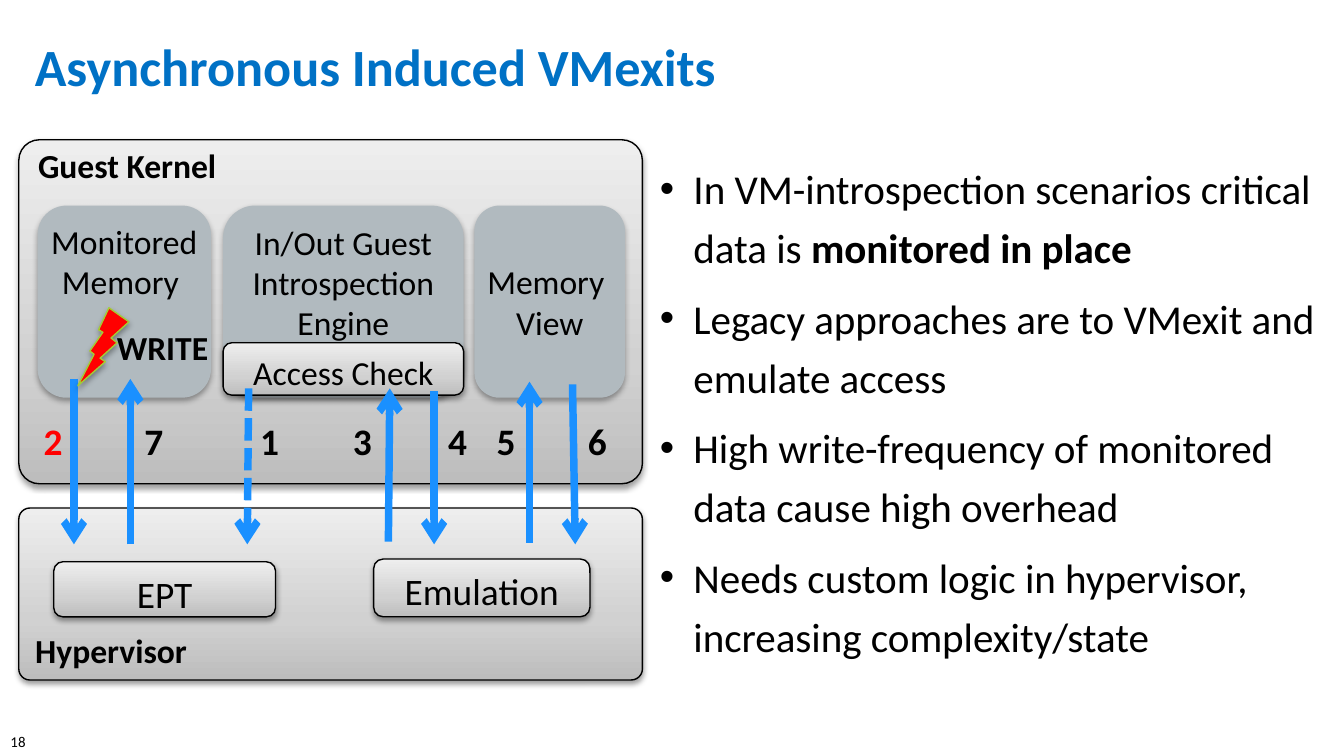
from copy import deepcopy
from typing import NamedTuple

from lxml import etree
from pptx import Presentation
from pptx.dml.color import RGBColor
from pptx.enum.dml import MSO_LINE
from pptx.enum.shapes import MSO_CONNECTOR, MSO_SHAPE
from pptx.enum.text import MSO_ANCHOR, MSO_AUTO_SIZE, PP_ALIGN
from pptx.oxml.ns import qn
from pptx.util import Emu, Inches, Pt

ROUNDED, BOLT = MSO_SHAPE.ROUNDED_RECTANGLE, MSO_SHAPE.LIGHTNING_BOLT
STRAIGHT, DASH = MSO_CONNECTOR.STRAIGHT, MSO_LINE.SQUARE_DOT
TOP, MIDDLE, BOTTOM = MSO_ANCHOR.TOP, MSO_ANCHOR.MIDDLE, MSO_ANCHOR.BOTTOM
LEFT, CENTER = PP_ALIGN.LEFT, PP_ALIGN.CENTER

CELL = Inches(0.1)  # the slide is a 16:9 grid of 100 columns by 56.25 rows
COLUMNS, ROWS = 100, 56.25
FONT = "Calibri"
COLORS = {
    "title": "0071C5", "text": "000000", "alert": "FF0000", "arrow": "1A90FF",
    "component": "B1BABF", "bolt_edge": "A4CD34",
}
SILVER = [(0, "BDBDBD"), (0.35, "D1D1D1"), (1, "EEEEEE")]


class Area(NamedTuple):
    col: float
    row: float
    cols: float
    rows: float


class Box(NamedTuple):
    text: str
    area: Area
    size: float = 18
    silver: bool = True
    corner: float = 0.167
    anchor: MSO_ANCHOR = TOP
    heading: bool = False
    inset: float = 1


class Arrow(NamedTuple):
    start: tuple[float, float]
    end: tuple[float, float]
    dashed: bool = False


class Step(NamedTuple):
    number: str
    col: float
    color: str = "text"


LAYERS = [
    Box("Guest Kernel", Area(1.4, 10.4, 46.4, 25.6), corner=0.06, heading=True),
    Box("Hypervisor", Area(1.4, 37.8, 46.4, 12.8), corner=0.065,
        anchor=BOTTOM, heading=True),
]
COMPONENTS = [
    Box("Monitored\nMemory ", Area(2.8, 15.3, 12.9, 14.3), silver=False),
    Box("In/Out Guest\nIntrospection\nEngine", Area(16.6, 15.3, 17.9, 14.3), silver=False),
    Box("Memory \nView", Area(35.3, 15.3, 11.2, 14.3), silver=False, anchor=MIDDLE),
]
MODULES = [
    Box("Access Check", Area(16.6, 25.5, 17.9, 3.9), inset=0.5),
    Box("EPT", Area(4, 41.8, 16.5, 4.1), size=20),
    Box("Emulation", Area(27.8, 41.6, 16.1, 4.3), size=20),
]
ARROWS = [
    Arrow((5.5, 28.2), (5.5, 40.5)),
    Arrow((9.7, 40.5), (9.7, 28.2)),
    Arrow((18.5, 28.9), (18.4, 40.5), dashed=True),
    Arrow((28.9, 40.3), (29, 28.9)),
    Arrow((32.3, 29.1), (32.3, 40.5)),
    Arrow((39.4, 40.4), (39.4, 28.4)),
    Arrow((42.6, 28.6), (42.8, 40.5)),
]
STEPS = [
    Step("1", 18.3), Step("2", 2.2, "alert"), Step("3", 25.2), Step("4", 32.3),
    Step("5", 35.9), Step("6", 42.7), Step("7", 9.7),
]
POINTS = [
    ("In VM-introspection scenarios critical data is ", "monitored in place"),
    ("Legacy approaches are to VMexit and emulate access", ""),
    ("High write-frequency of monitored data cause high overhead", ""),
    ("Needs custom logic in hypervisor, increasing complexity/state", ""),
]


def grid(*lengths: float) -> list[Emu]:
    return [Emu(round(length * CELL)) for length in lengths]


def rgb(name: str) -> RGBColor:
    return RGBColor.from_string(COLORS[name])


def style_text(frame, size: float, color: str = "text", bold: bool | None = None,
               align: PP_ALIGN = CENTER, spacing: float | None = None) -> None:
    for paragraph in frame.paragraphs:
        paragraph.alignment = align
        paragraph.line_spacing = spacing
        for run in paragraph.runs:
            run.font.name, run.font.size = FONT, Pt(size)
            run.font.color.rgb = rgb(color)
            if bold is not None:
                run.font.bold = bold


def set_insets(frame, sides: float, ends: float) -> None:
    frame.margin_left = frame.margin_right = grid(sides)[0]
    frame.margin_top = frame.margin_bottom = grid(ends)[0]


def add_shadow(shape, opacity: int, distance: int) -> None:
    shape.shadow.inherit = False
    effects = shape._element.spPr.find(qn("a:effectLst"))
    shadow = etree.SubElement(effects, qn("a:outerShdw"), blurRad="40000",
                              dist=str(distance), dir="5400000", rotWithShape="0")
    black = etree.SubElement(shadow, qn("a:srgbClr"), val=COLORS["text"])
    etree.SubElement(black, qn("a:alpha"), val=str(opacity * 1000))


def fill_silver(shape) -> None:
    shape.fill.gradient()
    shape.fill.gradient_angle = 90
    stops = shape._element.spPr.find(".//" + qn("a:gsLst"))
    stops.append(deepcopy(stops[-1]))
    for stop, (position, color) in zip(shape.fill.gradient_stops, SILVER):
        stop.position = position
        stop.color.rgb = RGBColor.from_string(color)


def add_box(slide, box: Box) -> None:
    shape = slide.shapes.add_shape(ROUNDED, *grid(*box.area))
    shape.adjustments[0] = box.corner
    if box.silver:
        fill_silver(shape)
        shape.line.color.rgb, shape.line.width = rgb("text"), Pt(0.75)
        add_shadow(shape, 38, 20000)
    else:
        shape.fill.solid()
        shape.fill.fore_color.rgb = rgb("component")
        shape.line.fill.background()
        add_shadow(shape, 35, 23000)
    frame = shape.text_frame
    frame.text, frame.word_wrap = box.text, box.silver
    frame.vertical_anchor = box.anchor
    set_insets(frame, box.inset, 0.5)
    style_text(frame, box.size, bold=box.heading, align=LEFT if box.heading else CENTER,
               spacing=0.8 if box.heading else None)


def add_arrow(slide, arrow: Arrow) -> None:
    connector = slide.shapes.add_connector(STRAIGHT, *grid(*arrow.start, *arrow.end))
    connector.line.color.rgb, connector.line.width = rgb("arrow"), Pt(4)
    if arrow.dashed:
        connector.line.dash_style = DASH
    properties = connector._element.spPr
    etree.SubElement(properties.find(qn("a:ln")), qn("a:tailEnd"), type="arrow")
    etree.SubElement(properties, qn("a:effectLst"))


def add_bolt(slide, area: Area) -> None:
    bolt = slide.shapes.add_shape(BOLT, *grid(*area))
    bolt._element.spPr.find(qn("a:xfrm")).set("flipH", "1")
    bolt.fill.solid()
    bolt.fill.fore_color.rgb = rgb("alert")
    bolt.line.color.rgb, bolt.line.width = rgb("bolt_edge"), Pt(0.75)
    add_shadow(bolt, 35, 23000)


def add_label(slide, text: str, area: Area, size: float, color: str = "text",
              bold: bool = True, align: PP_ALIGN = CENTER) -> None:
    frame = slide.shapes.add_textbox(*grid(*area)).text_frame
    frame.text, frame.word_wrap = text, False
    frame.vertical_anchor = MIDDLE
    set_insets(frame, 1, 0)
    style_text(frame, size, color, bold, align)


def place(placeholder, area: Area, anchor: MSO_ANCHOR):
    """Move a template placeholder and return its text frame."""
    (placeholder.left, placeholder.top,
     placeholder.width, placeholder.height) = grid(*area)
    frame = placeholder.text_frame
    frame.auto_size, frame.vertical_anchor = MSO_AUTO_SIZE.NONE, anchor
    set_insets(frame, 0.5, 0.3)
    return frame


def fill_points(frame) -> None:
    for index, (plain, strong) in enumerate(POINTS):
        point = frame.add_paragraph() if index else frame.paragraphs[0]
        point.text = plain
        if strong:
            emphasis = point.add_run()
            emphasis.text, emphasis.font.bold = strong, True
        point.space_before = Pt(6)
        indent = Inches(0.25)
        point._p.get_or_add_pPr().set("marL", str(indent))
        point._p.get_or_add_pPr().set("indent", str(-indent))
    style_text(frame, 22, align=LEFT, spacing=1.2)


def main() -> None:
    deck = Presentation()
    deck.slide_width, deck.slide_height = grid(COLUMNS, ROWS)
    slide = deck.slides.add_slide(deck.slide_layouts[1])

    heading = place(slide.shapes.title, Area(2.1, 2.25, 92.9, 5.9), MIDDLE)
    heading.text = "Asynchronous Induced VMexits"
    style_text(heading, 28, "title", True, LEFT, 0.9)
    fill_points(place(slide.placeholders[1], Area(48.6, 11.15, 51.4, 39.4), TOP))

    for box in LAYERS + COMPONENTS + MODULES:
        add_box(slide, box)
    for arrow in ARROWS:
        add_arrow(slide, arrow)
    add_bolt(slide, Area(5.8, 22.9, 3.8, 5.8))
    add_label(slide, "WRITE", Area(7.6, 24.05, 9, 3.6), 18)
    for step in STEPS:
        add_label(slide, step.number, Area(step.col, 31.1, 3.5, 3.4), 20, step.color)
    add_label(slide, "18", Area(-0.2, 54, 3.4, 2.4), 8, bold=False, align=LEFT)
    deck.save("out.pptx")


if __name__ == "__main__":
    main()
